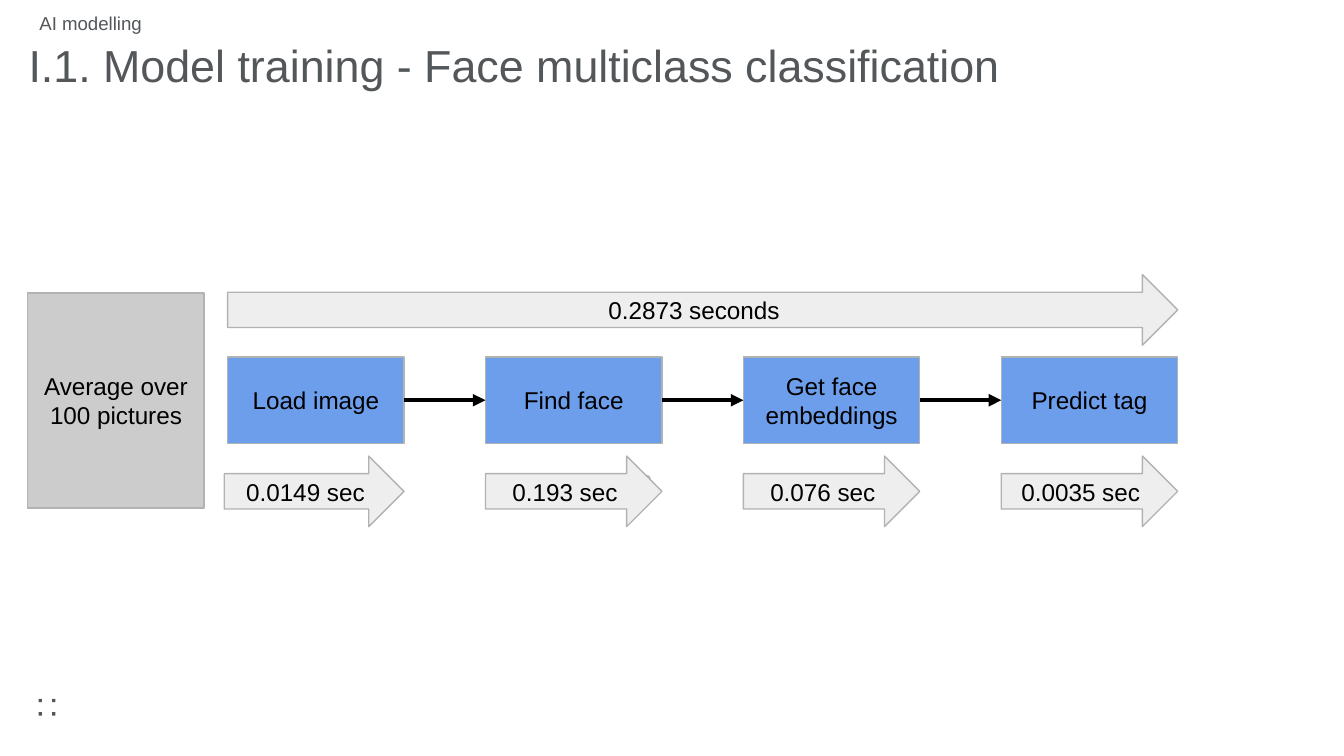
from lxml.etree import SubElement
from pptx import Presentation
from pptx.dml.color import RGBColor
from pptx.enum.shapes import MSO_CONNECTOR, MSO_SHAPE
from pptx.enum.text import MSO_ANCHOR, PP_ALIGN
from pptx.oxml.ns import qn
from pptx.util import Emu, Pt

PX = 5715  # 160 px to the inch
COLORS = {
    "text": "53575A",
    "black": "000000",
    "outline": "B0B3B2",
    "step": "6D9EEB",
    "time": "EEEEEE",
    "summary": "CCCCCC",
}
STEPS = [
    ("Load image", "0.0149 sec"),
    ("Find face", "0.193 sec"),
    ("Get face embeddings", "0.076 sec"),
    ("Predict tag", "0.0035 sec"),
]


def px(*lengths):
    return [Emu(n * PX) for n in lengths]


def rgb(name):
    return RGBColor.from_string(COLORS[name])


def write(sp, text, size, color, inset=0):
    tf = sp.text_frame
    tf.word_wrap = True
    tf.margin_left = tf.margin_top = tf.margin_right = tf.margin_bottom = Emu(inset * PX)
    p = tf.paragraphs[0]
    r = p.add_run()
    r.text = text
    r.font.name = "Arial"
    r.font.size = Pt(size)
    r.font.color.rgb = rgb(color)
    return p


def add_block(s, kind, box, fill, text):
    """Outlined shape with a centred label."""
    sp = s.shapes.add_shape(kind, *px(*box))
    sp.shadow.inherit = False
    sp.fill.solid()
    sp.fill.fore_color.rgb = rgb(fill)
    sp.line.color.rgb = rgb("outline")
    sp.line.width = Pt(0.75)
    p = write(sp, text, 13, "black", inset=8)
    p.alignment = PP_ALIGN.CENTER
    sp.text_frame.vertical_anchor = MSO_ANCHOR.MIDDLE
    return sp


def add_link(s, start, end):
    """Arrow from the right side of one step to the left side of the next."""
    line = s.shapes.add_connector(MSO_CONNECTOR.STRAIGHT, 0, 0, 0, 0)
    line.begin_connect(start, 3)
    line.end_connect(end, 1)
    line.line.color.rgb = rgb("black")
    line.line.width = Pt(2.25)
    SubElement(line._element.spPr.find(qn("a:ln")), qn("a:tailEnd"), type="triangle")
    SubElement(line._element.spPr, qn("a:effectLst"))


def add_heading(s, x, y, w):
    subtitle = s.shapes.add_textbox(*px(x + 13, y, w, 26))
    write(subtitle, "AI modelling", 10, "text")
    title = s.shapes.add_textbox(*px(x, y + 31, w, 83))
    p = write(title, "I.1. Model training - Face multiclass classification", 24, "text")
    p.space_after = Pt(10)


def add_page_number(s, x, y, w, h):
    """Number that peeks out from behind a time arrow."""
    number = s.shapes.add_textbox(*px(x, y, w, h))
    p = write(number, "9", 10, "outline")
    p.alignment = PP_ALIGN.RIGHT
    number.text_frame.vertical_anchor = MSO_ANCHOR.BOTTOM


def add_corner_dots(s, x, y, pitch, size):
    for row in range(2):
        for col in range(2):
            left, top = x + col * pitch, y + row * pitch
            dot = s.shapes.add_shape(MSO_SHAPE.RECTANGLE, *px(left, top, size, size))
            dot.shadow.inherit = False
            dot.fill.solid()
            dot.fill.fore_color.rgb = rgb("text")
            dot.line.fill.background()


def add_process(s, x, y, w, h):
    """Total time on top, linked steps in the middle, time per step below."""
    step_w, step_h, time_h = 210, 103, 84
    pitch = (w - step_w) // (len(STEPS) - 1)
    add_block(s, MSO_SHAPE.RIGHT_ARROW, (x, y, w, time_h), "time", "0.2873 seconds")
    previous = None
    for i, (name, time) in enumerate(STEPS):
        left = x + i * pitch
        step = add_block(s, MSO_SHAPE.RECTANGLE, (left, y + 98, step_w, step_h), "step", name)
        if previous is not None:
            add_link(s, previous, step)
        previous = step
        lead = 4 if i == 0 else 0  # the first time arrow starts a little earlier
        box = (left - lead, y + h - time_h, step_w + lead, time_h)
        add_block(s, MSO_SHAPE.RIGHT_ARROW, box, "time", time)


def main():
    prs = Presentation()
    prs.slide_width, prs.slide_height = px(1600, 900)
    s = prs.slides.add_slide(prs.slide_layouts[6])
    add_corner_dots(s, 46, 832, pitch=16, size=4)
    add_page_number(s, 739, 573, 37, 13)
    add_heading(s, 34, 14, 1507)
    add_process(s, 271, 327, 1131, 300)
    add_block(s, MSO_SHAPE.RECTANGLE, (33, 349, 210, 256), "summary", "Average over 100 pictures")
    prs.save("out.pptx")


if __name__ == "__main__":
    main()
